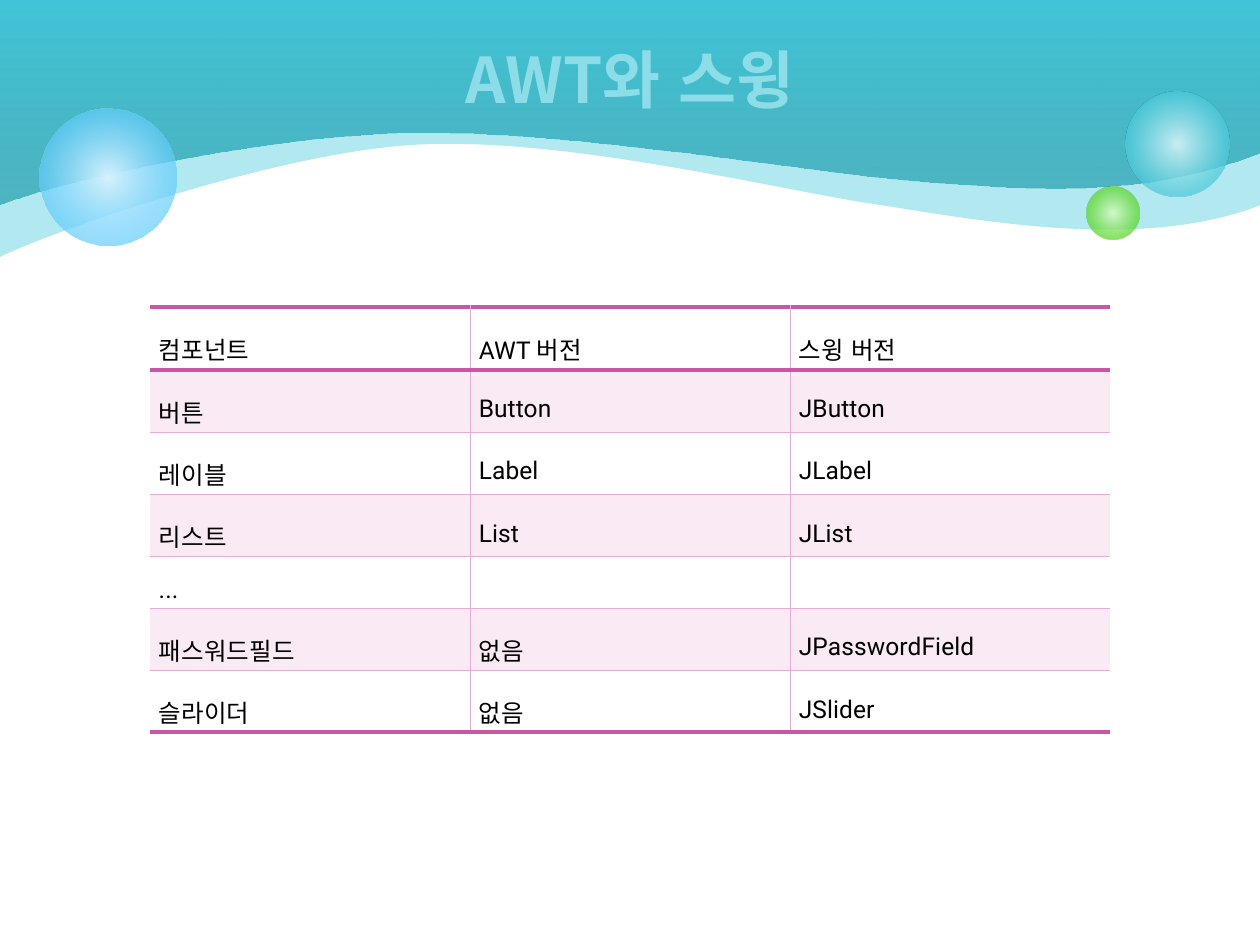
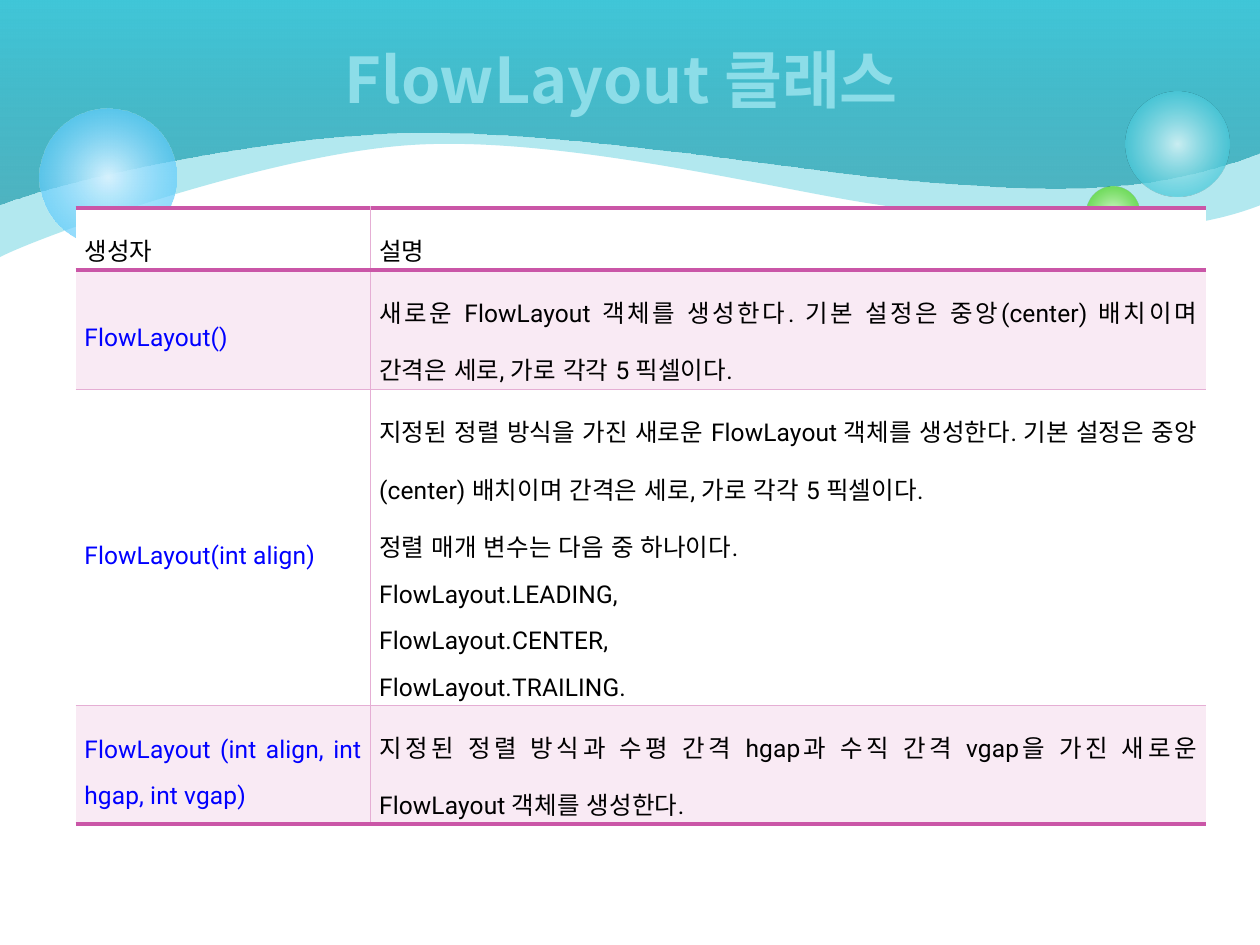
from pptx import Presentation
from pptx import util as u
from pptx.dml.color import RGBColor
from pptx.enum import lang, shapes, text
from pptx.oxml import parse_xml
from pptx.oxml.ns import nsdecls, qn

LATIN, HANGUL = "Roboto", "Noto Sans CJK KR"
AQUA, PALE, BLACK, BLUE = "40C6D8", "D9F4F7", "000000", "0000FF"
WHITE, BLUSH, PINK, ROSE = "FFFFFF", "F9EAF4", "E5AED4", "CA56A7"
THIN, THICK = (PINK, 0.28), (ROSE, 2.55)
BAND = (0, 0, 10.01, 2.04)
HEAD = (0.5, 0, 9, 1.25)

BACK = [(0, 0.54), (0, 1.5), (0, 2.04),
        (0.33, 1.87), (2.14, 1.22), (3.28, 1.15),
        (4.43, 1.08), (6.06, 1.48), (6.87, 1.61),
        (7.68, 1.73), (9.02, 2.01), (10, 1.63)]
FRONT = [(0, 0.54), (0, 1.08), (0, 1.62),
         (0.45, 1.44), (2.03, 1.08), (3.26, 1.05),
         (4.49, 1.02), (6.58, 1.39), (7.37, 1.44),
         (8.16, 1.49), (9.02, 1.59), (10, 1.21)]
BALLS = [(8.93, 0.73, 0.83, [(0, PALE, 90), (76, AQUA, 70)]),
         (8.62, 1.48, 0.42, [(0, "DAFACD", 90), (76, "4CD416", 70)]),
         (0.31, 0.86, 1.09, [(0, "D6F2FE", 100), (100, "33BDFB", 54)])]
GLOW = [(0, PALE, 100), (48, "8CDDE8", 100), (57, PALE, 100), (100, PALE, 100)]

PARTS = [["컴포넌트", "AWT 버전", "스윙 버전"],
         ["버튼", "Button", "JButton"],
         ["레이블", "Label", "JLabel"],
         ["리스트", "List", "JList"],
         ["...", "", ""],
         ["패스워드필드", "없음", "JPasswordField"],
         ["슬라이더", "없음", "JSlider"]]
MAKERS = [
    ["생성자", "설명"],
    ["FlowLayout()",
     "새로운 FlowLayout 객체를 생성한다. 기본 설정은 중앙(center) 배치이며 "
     "간격은 세로, 가로 각각 5 픽셀이다. "],
    ["FlowLayout(int align)",
     "지정된 정렬 방식을 가진 새로운 FlowLayout 객체를 생성한다. 기본 설정은 "
     "중앙(center) 배치이며 간격은 세로, 가로 각각 5 픽셀이다. \n"
     "정렬 매개 변수는 다음 중 하나이다. \n"
     "FlowLayout.LEADING, \nFlowLayout.CENTER, \nFlowLayout.TRAILING."],
    ["FlowLayout (int align, int hgap, int vgap)",
     "지정된 정렬 방식과 수평 간격 hgap과 수직 간격 vgap을 가진 새로운 "
     "FlowLayout 객체를 생성한다."]]


def tint(code, alpha=100):
    fade = f'<a:alpha val="{alpha * 1000}"/>' if alpha < 100 else ""
    return f'<a:srgbClr val="{RGBColor.from_string(code)}">{fade}</a:srgbClr>'


def node(tag, body, attrs=""):
    return parse_xml(f'<a:{tag} {nsdecls("a")} {attrs}>{body}</a:{tag}>')


def flat(code, alpha=100):
    return node("solidFill", tint(code, alpha))


def blend(stops, angle=None):
    marks = "".join(f'<a:gs pos="{at * 1000}">{tint(code, alpha)}</a:gs>'
                    for at, code, alpha in stops)
    if angle is None:
        way = ('<a:path path="circle"><a:fillToRect l="50000" t="50000" '
               'r="50000" b="50000"/></a:path>')
    else:
        way = f'<a:lin ang="{angle * 60000}" scaled="0"/>'
    return node("gradFill", f"<a:gsLst>{marks}</a:gsLst>{way}", 'rotWithShape="1"')


def paint(shape, fill):
    shape.shadow.inherit = False
    shape.line.fill.background()
    shape.fill.background()
    props = shape.element.spPr
    props.replace(props.find(qn("a:noFill")), fill)


def bend(shape, count):
    lines = list(shape.element.iter(qn("a:lnTo")))[:count]
    for i in range(0, count, 3):
        curve = node("cubicBezTo", "")
        lines[i].addprevious(curve)
        for line in lines[i:i + 3]:
            curve.append(line[0])
            line.getparent().remove(line)


def draw_wave(slide, box, curves, fill):
    left, top, width, _ = box
    pen = slide.shapes.build_freeform(u.Inches(left), u.Inches(top))
    pen.add_line_segments([(u.Inches(left + x), u.Inches(top + y))
                           for x, y in curves + [(width, 0), (0, 0)]])
    wave = pen.convert_to_shape()
    bend(wave, len(curves))
    paint(wave, fill)


def draw_band(slide, box):
    draw_wave(slide, box, BACK, flat(AQUA, 40))
    draw_wave(slide, box, FRONT, blend([(0, "249EAE", 69), (100, AQUA, 100)], 270))
    for x, y, size, stops in BALLS:
        ball = slide.shapes.add_shape(
            shapes.MSO_SHAPE.OVAL, u.Inches(box[0] + x), u.Inches(box[1] + y),
            u.Inches(size), u.Inches(size))
        paint(ball, blend(stops))


def add_run(para, words, size, face):
    run = para.add_run()
    run.text = words
    run.font.size = u.Pt(size)
    run.font.name = face
    run.font.language_id = lang.MSO_LANGUAGE_ID.KOREAN
    props = run._r.get_or_add_rPr()
    props.append(node("ea", "", f'typeface="{HANGUL}"'))
    return run, props


def set_title(slide, box, words):
    title = slide.shapes.title
    title.left, title.top, title.width, title.height = map(u.Inches, box)
    frame = title.text_frame
    frame.vertical_anchor = text.MSO_ANCHOR.MIDDLE
    para = frame.paragraphs[0]
    para.alignment = text.PP_ALIGN.CENTER
    run, props = add_run(para, words, 36, HANGUL)
    run.font.bold = True
    props.insert(0, blend(GLOW, 90))
    props.insert(0, node("ln", f"<a:solidFill>{tint(PALE)}</a:solidFill>", 'w="6350"'))
    title.element.getparent().append(title.element)


def edge(cell, place, side, rule):
    if rule:
        code, width = rule
        line = node(side, f"<a:solidFill>{tint(code)}</a:solidFill>",
                    f'w="{u.Pt(width)}"')
    else:
        line = node(side, "<a:noFill/>")
    cell._tc.get_or_add_tcPr().insert(place, line)


def fill_cell(cell, words, ink, shade):
    cell.fill.solid()
    cell.fill.fore_color.rgb = RGBColor.from_string(shade)
    cell.vertical_anchor = text.MSO_ANCHOR.MIDDLE
    cell.margin_left = cell.margin_right = u.Inches(0.07)
    cell.margin_top = cell.margin_bottom = u.Inches(0.02)
    if not words:
        return
    frame = cell.text_frame
    for i, line in enumerate(words.split("\n")):
        para = frame.add_paragraph() if i else frame.paragraphs[0]
        para.alignment = text.PP_ALIGN.JUSTIFY
        para.line_spacing = 1.6
        run, props = add_run(para, line, 14, LATIN)
        run.font.color.rgb = RGBColor.from_string(ink)
        props.set("spc", "6")


def draw_grid(slide, box, rows, widths, heights, lead=BLACK):
    grid = slide.shapes.add_table(len(rows), len(widths), *map(u.Inches, box)).table
    grid.first_row = grid.horz_banding = False
    for col, width in zip(grid.columns, widths):
        col.width = u.Inches(width)
    for row, height in zip(grid.rows, heights):
        row.height = u.Inches(height)
    last, right = len(rows) - 1, len(widths) - 1
    for r, row in enumerate(rows):
        for c, words in enumerate(row):
            cell = grid.cell(r, c)
            fill_cell(cell, words, lead if r and c == 0 else BLACK,
                      BLUSH if r % 2 else WHITE)
            rules = [("lnL", THIN if c else None),
                     ("lnR", THIN if c < right else None),
                     ("lnT", THICK if r < 2 else THIN),
                     ("lnB", THICK if r in (0, last) else THIN)]
            for place, (side, rule) in enumerate(rules):
                edge(cell, place, side, rule)


def add_page(deck, title):
    slide = deck.slides.add_slide(deck.slide_layouts[5])
    draw_band(slide, BAND)
    set_title(slide, HEAD, title)
    return slide


def main():
    deck = Presentation()
    deck.slide_width, deck.slide_height = u.Inches(10), u.Inches(7.5)
    draw_grid(add_page(deck, "AWT와 스윙"), (1.19, 2.44, 7.62, 2.9),
              PARTS, [2.54] * 3, [0.41] * 7)
    draw_grid(add_page(deck, "FlowLayout 클래스 "), (0.6, 1.65, 8.97, 4.31),
              MAKERS, [2.34, 6.63], [0.41, 0.79, 2.32, 0.79], BLUE)
    deck.save("out.pptx")


if __name__ == "__main__":
    main()
